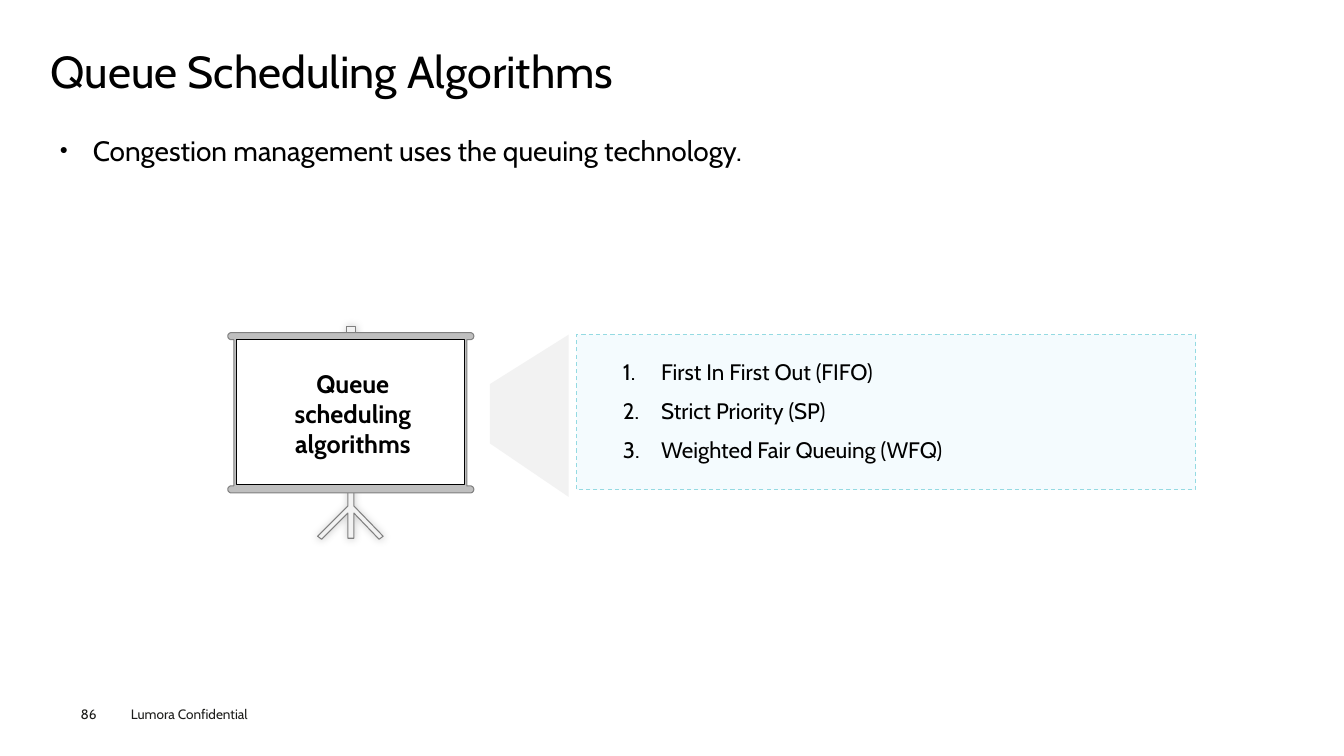
import math
from dataclasses import dataclass

import pptx
import pptx.dml.color
import pptx.enum.dml
import pptx.enum.shapes
import pptx.enum.text
import pptx.oxml
import pptx.oxml.ns
import pptx.util
from lxml import etree

Inches = pptx.util.Inches
Pt = pptx.util.Pt
Anchor = pptx.enum.text.MSO_ANCHOR
Align = pptx.enum.text.PP_ALIGN
Point = tuple[float, float]
Box = tuple[float, float, float, float]

FONT = "Cabin"
BLACK = "000000"
GREY = "808080"
PALE = "F2F2F2"
INSET = (0.1, 0.05, 0.1, 0.05)


@dataclass
class Label:
    box: Box
    lines: list[str]
    size: float
    color: str = BLACK
    bold: bool = False
    inset: Box = INSET
    anchor: Anchor = Anchor.TOP
    align: Align = Align.LEFT
    leading: float = 1.0
    gap: float = 0
    indent: float = 0
    bullet: tuple[tuple[str, str, str], ...] = ()


@dataclass
class Outline:
    loops: list[list[Point]]
    fill: str
    line: str = ""
    glow: bool = False


def rgb(color: str) -> pptx.dml.color.RGBColor:
    return pptx.dml.color.RGBColor.from_string(color)


def place(shape, box: Box) -> None:
    shape.left, shape.top, shape.width, shape.height = map(Inches, box)


def write(shape, label: Label) -> None:
    """Place a text shape, fill it with text and format it."""
    place(shape, label.box)
    frame = shape.text_frame
    frame.text = "\n".join(label.lines)
    frame.word_wrap = True
    frame.auto_size = pptx.enum.text.MSO_AUTO_SIZE.NONE
    frame.vertical_anchor = label.anchor
    (frame.margin_left, frame.margin_top,
     frame.margin_right, frame.margin_bottom) = map(Inches, label.inset)
    for row, para in enumerate(frame.paragraphs):
        props = para._p.get_or_add_pPr()
        if label.indent:
            props.set("marL", str(Inches(label.indent)))
            props.set("indent", str(Inches(-label.indent)))
        for tag, key, value in label.bullet:
            etree.SubElement(props, pptx.oxml.ns.qn(tag)).set(key, value)
        para.alignment = label.align
        para.line_spacing = label.leading
        para.space_before = Pt(label.gap if row else 0)
        para.space_after = Pt(label.gap)
        for run in para.runs:
            run.font.name = FONT
            run.font.size = Pt(label.size)
            run.font.bold = label.bold
            run.font.color.rgb = rgb(label.color)


def paint(shape, fill: str, line: str = "") -> None:
    shape.shadow.inherit = False
    shape.fill.solid()
    shape.fill.fore_color.rgb = rgb(fill)
    if line:
        shape.line.color.rgb = rgb(line)
        shape.line.width = Pt(0.75)
    else:
        shape.line.fill.background()


def panel(shapes, box: Box, fill: str, line: str):
    kind = pptx.enum.shapes.MSO_SHAPE.RECTANGLE
    shape = shapes.add_shape(kind, *map(Inches, box))
    paint(shape, fill, line)
    return shape


def trace(shapes, outline: Outline) -> None:
    """Draw closed loops as one freeform."""
    loops = [[(Inches(x), Inches(y)) for x, y in loop] for loop in outline.loops]
    pen = shapes.build_freeform(*loops[0][0], scale=1.0)
    for number, loop in enumerate(loops):
        if number:
            pen.move_to(*loop[0])
        pen.add_line_segments(loop[1:], close=True)
    shape = pen.convert_to_shape()
    paint(shape, outline.fill, outline.line)
    if outline.glow:
        effects = shape._element.spPr.find(pptx.oxml.ns.qn("a:effectLst"))
        effects.append(pptx.oxml.parse_xml(
            f'<a:outerShdw {pptx.oxml.ns.nsdecls("a")} blurRad="{Pt(6)}" dist="0" '
            'dir="13500000" rotWithShape="0"><a:srgbClr val="000000">'
            '<a:alpha val="20000"/></a:srgbClr></a:outerShdw>'))


def cap(x: float, y: float, start: int) -> list[Point]:
    """Half circle that rounds one end of a screen bar."""
    turns = [math.radians(start + step) for step in range(0, 181, 15)]
    return [(x + 0.035 * math.cos(t), y + 0.035 * math.sin(t)) for t in turns]


def screen() -> list[Point]:
    """Two rounded bars joined by the side rails."""
    left, right, high, low = 2.295, 4.665, 3.335, 4.855
    return [(2.32, 4.82), (2.32, 3.37),
            *cap(left, high, 90), *cap(right, high, 270),
            (4.63, 3.37), (4.63, 4.82),
            *cap(right, low, 270), *cap(left, low, 90)]


def main() -> None:
    deck = pptx.Presentation()
    deck.slide_width, deck.slide_height = Inches(13.33), Inches(7.5)
    slide = deck.slides.add_slide(deck.slide_layouts[1])
    shapes = slide.shapes

    # Title and lead sentence
    write(shapes.title, Label((0.5, 0.49, 12.35, 0.54), ["Queue Scheduling Algorithms"],
                              32, inset=(0, 0, 0, 0), leading=0.9))
    write(slide.placeholders[1], Label(
        (0.5, 1.15, 12.35, 5.33), ["Congestion management uses the queuing technology."],
        20, inset=(0.09, 0.04, 0.09, 0.04), leading=1.4, indent=0.33,
        bullet=(("a:buSzPct", "val", "50000"), ("a:buChar", "char", "●"))))

    # Dashed panel, beam, stand and screen
    frame = panel(shapes, (5.72, 3.32, 6.14, 1.54), "F4FBFE", "94DAE2")
    frame.line.dash_style = pptx.enum.dml.MSO_LINE.DASH
    beam = [(5.64, 4.93), (4.86, 4.4), (4.86, 3.81), (5.64, 3.32)]
    knob = [(3.44, 3.24), (3.53, 3.24), (3.53, 3.36), (3.44, 3.36)]
    legs = [(3.45, 4.71), (3.51, 4.71), (3.51, 5.02), (3.8, 5.32), (3.76, 5.35),
            (3.51, 5.09), (3.51, 5.34), (3.45, 5.34), (3.45, 5.09), (3.19, 5.35),
            (3.15, 5.32), (3.45, 5.02)]
    for outline in (Outline([beam], PALE),
                    Outline([knob, legs], PALE, GREY, glow=True),
                    Outline([screen()], "BFBFBF", GREY)):
        trace(shapes, outline)
    panel(shapes, (2.35, 3.37, 2.26, 1.44), "FFFFFF", BLACK)

    # Screen label, numbered list and footer
    labels = [
        Label((2.62, 3.6, 1.76, 1), ["Queue scheduling algorithms"], 18, bold=True,
              anchor=Anchor.MIDDLE, align=Align.CENTER),
        Label((6.08, 3.43, 5.47, 1.22),
              ["First In First Out (FIFO)", "Strict Priority (SP)",
               "Weighted Fair Queuing (WFQ)"],
              16, anchor=Anchor.MIDDLE, leading=1.25, gap=2, indent=0.38,
              bullet=(("a:buAutoNum", "type", "arabicPeriod"),)),
        Label((1.2, 6.95, 1.6, 0.27), ["Lumora Confidential"], 9.7, "1D1D1B"),
        Label((0.8, 7, 0.55, 0.16), ["86"], 9.7, "1D1D1B", inset=(0, 0, 0, 0)),
    ]
    for label in labels:
        write(shapes.add_textbox(*map(Inches, label.box)), label)

    deck.save("out.pptx")


if __name__ == "__main__":
    main()
